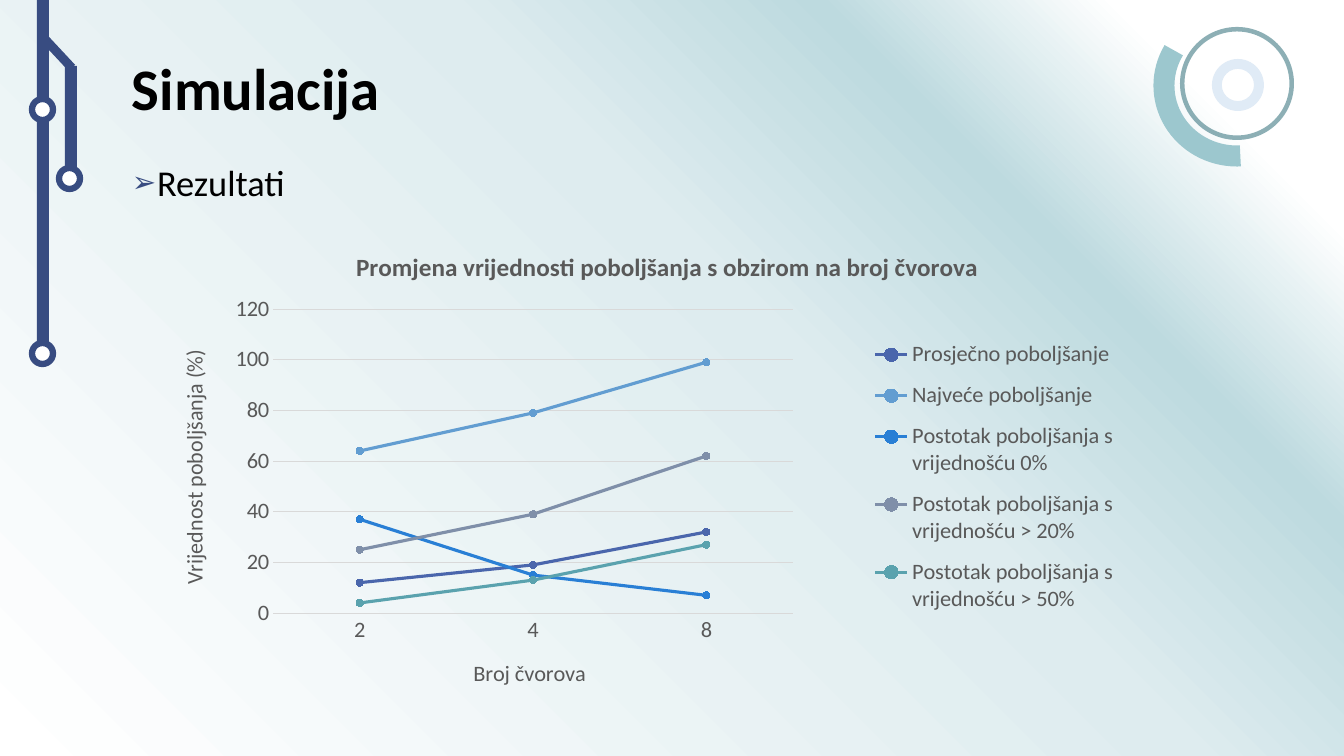
from lxml import etree
from pptx import Presentation
from pptx.chart.data import CategoryChartData
from pptx.dml.color import RGBColor
from pptx.enum.chart import XL_CHART_TYPE, XL_LEGEND_POSITION, XL_MARKER_STYLE, XL_TICK_MARK
from pptx.enum.shapes import MSO_SHAPE
from pptx.enum.text import MSO_ANCHOR
from pptx.oxml import parse_xml
from pptx.oxml.ns import nsdecls, qn
from pptx.util import Pt

SCALE = 914400 / 100.8
FONT = "Calibri"
NAVY, GREY, GRID = "384C81", "595959", "D9D9D9"


def px(value):
    """Turn pixels into EMU."""
    return round(value * SCALE)


def rgb(value):
    """Turn a hex string into a colour."""
    return RGBColor.from_string(value)


def style_font(font, size, color, bold=False):
    """Set face, size, colour and weight."""
    font.name, font.size, font.bold = FONT, Pt(size), bold
    font.color.rgb = rgb(color)


def add_background(slide):
    """Fill the slide with a gradient radiating from the top right corner."""
    stops = [(0, "FFFFFF"), (11, "FFFFFF"), (25, "BDDADF"), (43, "DEECEF"), (100, "FFFFFF")]
    stop_xml = "".join(f'<a:gs pos="{pos * 1000}"><a:srgbClr val="{color}"/></a:gs>'
                       for pos, color in stops)
    slide.element.cSld.insert(0, parse_xml(
        f'<p:bg {nsdecls("p", "a")}><p:bgPr><a:gradFill rotWithShape="1">'
        f'<a:gsLst>{stop_xml}</a:gsLst><a:path path="circle">'
        '<a:fillToRect l="100000" b="100000"/></a:path></a:gradFill>'
        '<a:effectLst/></p:bgPr></p:bg>'))


def add_part(slide, kind, box, fill, rotation=0, adjust=(), line=None):
    """Add a flat preset shape."""
    shape = slide.shapes.add_shape(kind, *map(px, box))
    shape.shadow.inherit = False
    shape.fill.solid()
    shape.fill.fore_color.rgb = rgb(fill)
    shape.rotation = rotation
    for index, value in enumerate(adjust):
        shape.adjustments[index] = value
    if line:
        shape.line.color.rgb, shape.line.width = rgb(line), Pt(4.5)
    else:
        shape.line.fill.background()
    return shape


def add_rings(slide, box):
    """Draw the ring ornament."""
    x, y, w, h = box
    add_part(slide, MSO_SHAPE.DONUT, (x + 56, y + 57, 52, 52), "E0EBF6", adjust=[0.19])
    add_part(slide, MSO_SHAPE.BLOCK_ARC, (x, y, w, h), "9CC7CE", 270, [106.33, 179.53, 0.13])
    ring = add_part(slide, MSO_SHAPE.DONUT, (x + 24, y + 25, 114, 113), "417B85", adjust=[0.04])
    color = ring.fill._xPr.find(".//" + qn("a:srgbClr"))
    etree.SubElement(color, qn("a:alpha")).set("val", "60000")


def add_circuit(slide, box):
    """Draw the circuit ornament: two tracks, a diagonal link and three nodes."""
    x, y, w, h = box
    for track, turn in [((x + 33, y + 66, 12, 105), 0), ((x + 5, y, 12, h - 21), 0),
                        ((x + 20, y + 29, 9, 45), 317)]:
        add_part(slide, MSO_SHAPE.RECTANGLE, track, NAVY, turn)
    for left, top in [(w - 21, 168), (0, 99), (0, h - 21)]:
        add_part(slide, MSO_SHAPE.OVAL, (x + left, y + top, 21, 21), "FFFFFF", line=NAVY)


def add_text(slide, box, text, size, bold=False, anchor=MSO_ANCHOR.TOP):
    """Add a wrapped one-paragraph text box and return the paragraph."""
    frame = slide.shapes.add_textbox(*map(px, box)).text_frame
    frame.word_wrap, frame.vertical_anchor = True, anchor
    paragraph = frame.paragraphs[0]
    paragraph.line_spacing = 0.9
    run = paragraph.add_run()
    run.text = text
    style_font(run.font, size, "000000", bold)
    return paragraph


def add_heading(slide, box):
    """Add the title and the bullet below it."""
    x, y, w, h = box
    add_text(slide, (x, y, w, 103), "Simulacija", 42, True, MSO_ANCHOR.MIDDLE)
    bullet = add_text(slide, (x, y + 120, w, h - 120), "Rezultati", 26)
    bullet.space_before = Pt(10)
    props = bullet._p.get_or_add_pPr()
    props.set("marL", "228600")
    props.set("indent", "-228600")
    for xml in (f'<a:buClr {nsdecls("a")}><a:srgbClr val="{NAVY}"/></a:buClr>',
                f'<a:buSzPct {nsdecls("a")} val="80000"/>',
                f'<a:buFont {nsdecls("a")} typeface="{FONT}"/>',
                f'<a:buChar {nsdecls("a")} char="➢"/>'):
        props.append(parse_xml(xml))


def set_layout(element, before, x, y, w=None, h=None, inner=False):
    """Place a chart part by fractions of the chart, ahead of the child tagged before."""
    for old in element.findall(qn("c:layout")):
        element.remove(old)
    parts = [("layoutTarget", "inner")] if inner else []
    parts += [("xMode", "edge"), ("yMode", "edge"), ("x", x), ("y", y)]
    parts += [("w", w), ("h", h)] if w else []
    body = "".join(f'<c:{tag} val="{value}"/>' for tag, value in parts)
    layout = parse_xml(f'<c:layout {nsdecls("c")}><c:manualLayout>{body}'
                       '</c:manualLayout></c:layout>')
    element.find(qn(before)).addprevious(layout)


def set_title(title, text, size, x, y, bold=False):
    """Write and place the title of a chart or an axis."""
    title.text_frame.text = text
    style_font(title.text_frame.paragraphs[0].runs[0].font, size, GREY, bold)
    set_layout(title._element, "c:overlay", x, y)


def add_results_chart(slide, box):
    """Add the line chart of improvement against node count."""
    series = [("Prosječno poboljšanje", (12, 19, 32), "4A66AC"),
              ("Najveće poboljšanje", (64, 79, 99), "629DD1"),
              ("Postotak poboljšanja s vrijednošću 0%", (37, 15, 7), "297FD5"),
              ("Postotak poboljšanja s vrijednošću > 20%", (25, 39, 62), "7F8FA9"),
              ("Postotak poboljšanja s vrijednošću > 50%", (4, 13, 27), "5AA2AE")]
    data = CategoryChartData()
    data.categories = ["2", "4", "8"]
    for name, values, _ in series:
        data.add_series(name, values)
    chart = slide.shapes.add_chart(XL_CHART_TYPE.LINE_MARKERS, *map(px, box), data).chart
    style_font(chart.font, 16, GREY)
    plot = chart.plots[0]
    plot.vary_by_categories = False
    for line, (_, _, color) in zip(plot.series, series):
        line.smooth = False
        line.format.line.color.rgb, line.format.line.width = rgb(color), Pt(2.25)
        line.marker.style, line.marker.size = XL_MARKER_STYLE.CIRCLE, 5
        line.marker.format.fill.solid()
        line.marker.format.fill.fore_color.rgb = rgb(color)
        line.marker.format.line.color.rgb = rgb(color)

    across, up = chart.category_axis, chart.value_axis
    for axis in (across, up):
        axis.major_tick_mark = axis.minor_tick_mark = XL_TICK_MARK.NONE
        style_font(axis.tick_labels.font, 16, GREY)
    up.minimum_scale, up.maximum_scale, up.major_unit = 0, 120, 20
    up.format.line.fill.background()
    for rule in (across.format.line, up.major_gridlines.format.line):
        rule.color.rgb, rule.width = rgb(GRID), Pt(0.75)

    set_title(chart.chart_title, "Promjena vrijednosti poboljšanja s obzirom na broj čvorova",
              18, 0.18, 0.03, True)
    set_title(across.axis_title, "Broj čvorova", 16, 0.3, 0.93)
    set_title(up.axis_title, "Vrijednost poboljšanja (%)", 16, 0, 0.26)
    body = up.axis_title._element.find(".//" + qn("a:bodyPr"))
    body.set("rot", "-5400000")
    body.set("vert", "horz")

    chart.has_legend = True
    legend = chart.legend
    legend.position, legend.include_in_layout = XL_LEGEND_POSITION.RIGHT, False
    style_font(legend.font, 16, GREY)
    set_layout(legend._element, "c:overlay", 0.7, 0.21, 0.27, 0.66)
    set_layout(plot._element.getparent(), "c:lineChart", 0.1, 0.17, 0.53, 0.67, True)


def main():
    """Build and save the slide."""
    deck = Presentation()
    deck.slide_width, deck.slide_height = px(1344), px(756)
    slide = deck.slides.add_slide(deck.slide_layouts[6])
    add_background(slide)
    add_rings(slide, (1156, 2, 162, 167))
    add_circuit(slide, (32, 0, 48, 364))
    add_heading(slide, (122, 40, 1130, 210))
    add_results_chart(slide, (175, 232, 981, 462))
    deck.save("out.pptx")


main()
